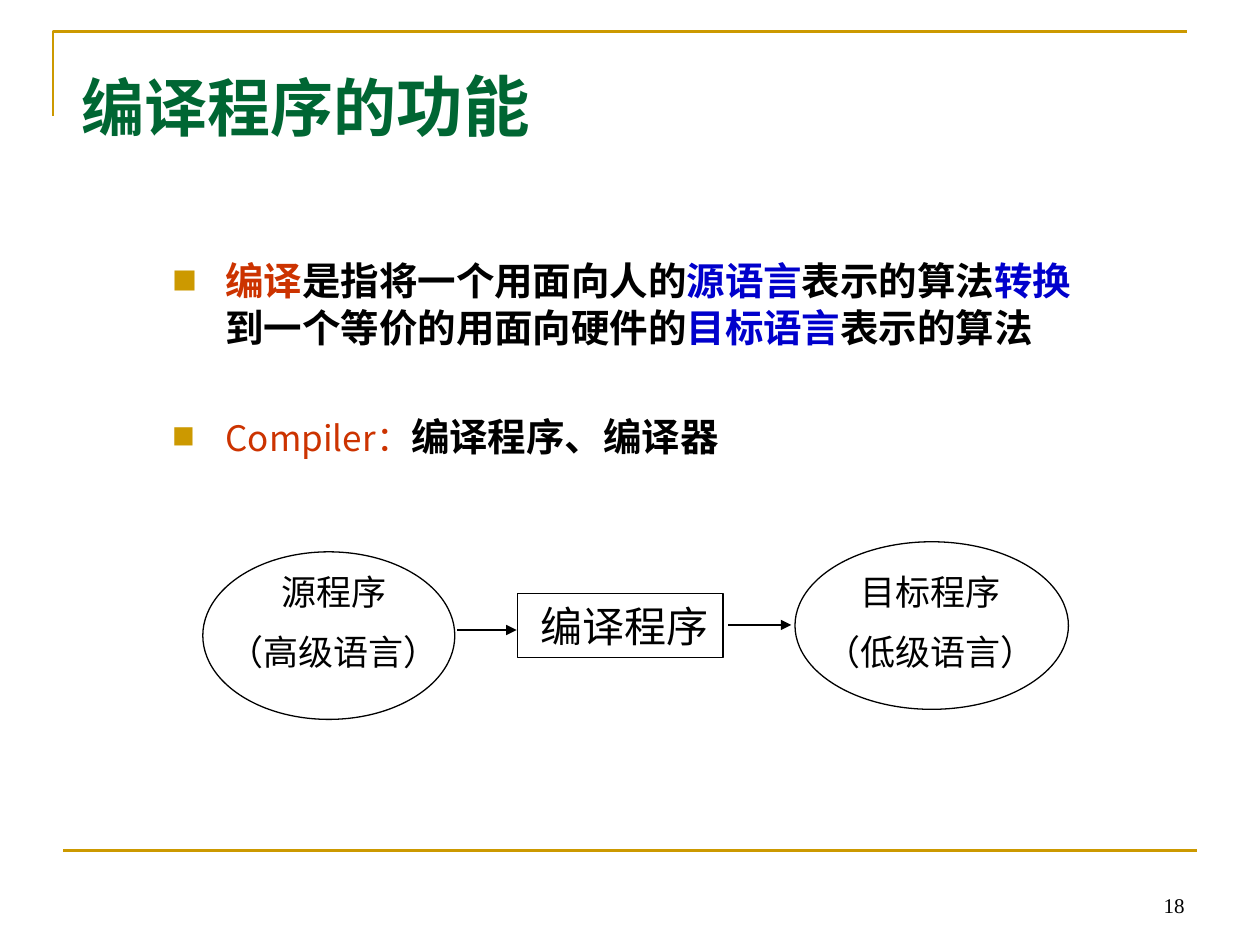
from lxml import etree
from pptx import Presentation
from pptx.dml.color import RGBColor
from pptx.enum import shapes, text
from pptx.oxml import ns
from pptx.util import Inches, Pt

CJK, SERIF = "Noto Sans CJK SC", "Times New Roman"
BLACK, GOLD, GREEN, RED, BLUE = "000000", "CC9900", "006633", "CC3300", "0000CC"


def rgb(hex_colour):
    return RGBColor.from_string(hex_colour)


def add_xml(parent, tag, **attributes):
    child = etree.SubElement(parent, ns.qn(tag))
    for key, value in attributes.items():
        child.set(key, value)
    return child


def style_run(run, size, colour=BLACK, bold=False, font=CJK):
    run.font.size, run.font.bold, run.font.name = Pt(size), bold, font
    run.font.color.rgb = rgb(colour)
    add_xml(run.font._element, "a:ea", typeface=font)


def add_runs(paragraph, pieces):
    for words, size, colour, bold in pieces:
        run = paragraph.add_run()
        run.text = words
        style_run(run, size, colour, bold)


def style_line(item, colour, width):
    item.line.color.rgb = rgb(colour)
    item.line.width = Pt(width)


def add_rule(slide, start, end, colour, width, arrow=False):
    rule = slide.shapes.add_connector(
        shapes.MSO_CONNECTOR.STRAIGHT, *(Inches(v) for v in start + end))
    style_line(rule, colour, width)
    properties = rule._element.spPr
    if arrow:
        add_xml(properties.find(ns.qn("a:ln")), "a:tailEnd", type="triangle")
    add_xml(properties, "a:effectLst")


def add_outline(slide, preset, box):
    outline = slide.shapes.add_shape(preset, *(Inches(v) for v in box))
    outline.shadow.inherit = False
    outline.fill.background()
    style_line(outline, BLACK, 0.75)
    return outline


def place(shape, box):
    shape.left, shape.top, shape.width, shape.height = (Inches(v) for v in box)


def add_frame(slide, left, top, width, height):
    # Corner bracket at the top, rule at the bottom
    builder = slide.shapes.build_freeform(
        Inches(left), Inches(top + height), scale=1.0)
    builder.add_line_segments(
        [(Inches(left), Inches(top)), (Inches(left + width), Inches(top))],
        close=False)
    bracket = builder.convert_to_shape()
    bracket.shadow.inherit = False
    bracket.fill.background()
    style_line(bracket, GOLD, 1.5)
    add_rule(slide, (0.5, 6.75), (9.5, 6.75), GOLD, 1.5)


def add_page_number(slide, box, number):
    page = slide.shapes.add_textbox(*(Inches(v) for v in box)).text_frame
    page.word_wrap = True
    page.vertical_anchor = text.MSO_ANCHOR.BOTTOM
    page.text = number
    page.paragraphs[0].alignment = text.PP_ALIGN.RIGHT
    style_run(page.paragraphs[0].runs[0], 12, font=SERIF)


def fill_title(slide, box):
    place(slide.shapes.title, box)
    frame = slide.shapes.title.text_frame
    frame.auto_size = text.MSO_AUTO_SIZE.NONE
    frame.vertical_anchor = text.MSO_ANCHOR.MIDDLE
    frame.margin_left = Inches(0.22)
    heading = frame.paragraphs[0]
    heading.alignment = text.PP_ALIGN.LEFT
    add_runs(heading, [("编译程序的", 36, GREEN, True), ("功能", 38, GREEN, True)])


def add_bullet(paragraph):
    properties = paragraph._p.get_or_add_pPr()
    properties.set("marL", str(Inches(1.42)))
    properties.set("indent", str(Inches(-0.42)))
    add_xml(add_xml(properties, "a:buClr"), "a:srgbClr", val=GOLD)
    add_xml(properties, "a:buSzPct", val="65000")
    add_xml(properties, "a:buFont", typeface=CJK)
    add_xml(properties, "a:buChar", char="■")


def fill_definitions(slide, box):
    body = slide.placeholders[1]
    place(body, box)
    frame = body.text_frame
    frame.auto_size = text.MSO_AUTO_SIZE.NONE
    frame.margin_top = Inches(0.56)
    compiling = [("编译", 22, RED, True),
                 ("是指将一个用面向人的", 22, BLACK, True),
                 ("源语言", 22, BLUE, True),
                 ("表示的算法", 22, BLACK, True),
                 ("转换", 22, BLUE, True),
                 ("到一个等价的用面向硬件的", 22, BLACK, True),
                 ("目标语言", 22, BLUE, True),
                 ("表示的算法", 22, BLACK, True)]
    compiler = [("Compiler：", 20, RED, False),
                ("编译程序、编译器", 22, BLACK, True)]
    for paragraph, pieces, gap in ((frame.paragraphs[0], compiling, 0),
                                   (frame.add_paragraph(), compiler, 35)):
        paragraph.level = 2
        paragraph.line_spacing = Pt(27)
        paragraph.space_before = Pt(gap)
        add_bullet(paragraph)
        add_runs(paragraph, pieces)


def add_program(slide, oval_box, label_box, lines):
    add_outline(slide, shapes.MSO_SHAPE.OVAL, oval_box)
    label = slide.shapes.add_textbox(*(Inches(v) for v in label_box)).text_frame
    label.word_wrap = True
    label.margin_top = Inches(0.07)
    label.text = "\n".join(lines)
    for index, paragraph in enumerate(label.paragraphs):
        paragraph.alignment = text.PP_ALIGN.CENTER
        paragraph.line_spacing = Pt(24)
        paragraph.space_before = Pt(10 * index)
        style_run(paragraph.runs[0], 20)


def add_compiler(slide, box):
    compiler = add_outline(slide, shapes.MSO_SHAPE.RECTANGLE, box)
    frame = compiler.text_frame
    frame.margin_left, frame.margin_right = Inches(0.18), 0
    frame.vertical_anchor = text.MSO_ANCHOR.MIDDLE
    frame.text = "编译程序"
    frame.paragraphs[0].alignment = text.PP_ALIGN.LEFT
    style_run(frame.paragraphs[0].runs[0], 24)


def add_flow(slide):
    # Source program -> compiler -> target program
    add_program(slide, (1.61, 4.38, 2, 1.33), (1.61, 4.46, 2.08, 0.93),
                ("源程序", "（高级语言）"))
    add_compiler(slide, (4.11, 4.71, 1.63, 0.51))
    add_program(slide, (6.31, 4.3, 2.17, 1.33), (6.26, 4.46, 2.25, 0.93),
                ("目标程序", "（低级语言）"))
    add_rule(slide, (3.63, 5), (4.1, 5), BLACK, 0.75, arrow=True)
    add_rule(slide, (5.78, 4.96), (6.28, 4.96), BLACK, 0.75, arrow=True)


def main():
    deck = Presentation()
    deck.slide_width, deck.slide_height = Inches(10), Inches(7.5)
    slide = deck.slides.add_slide(deck.slide_layouts[1])
    add_frame(slide, 0.42, 0.25, 9, 0.67)
    add_page_number(slide, (7.17, 6.83, 2.33, 0.5), "18")
    fill_title(slide, (0.43, 0.21, 8.5, 1.25))
    fill_definitions(slide, (0.27, 1.47, 8.5, 4.5))
    add_flow(slide)
    deck.save("out.pptx")


if __name__ == "__main__":
    main()
